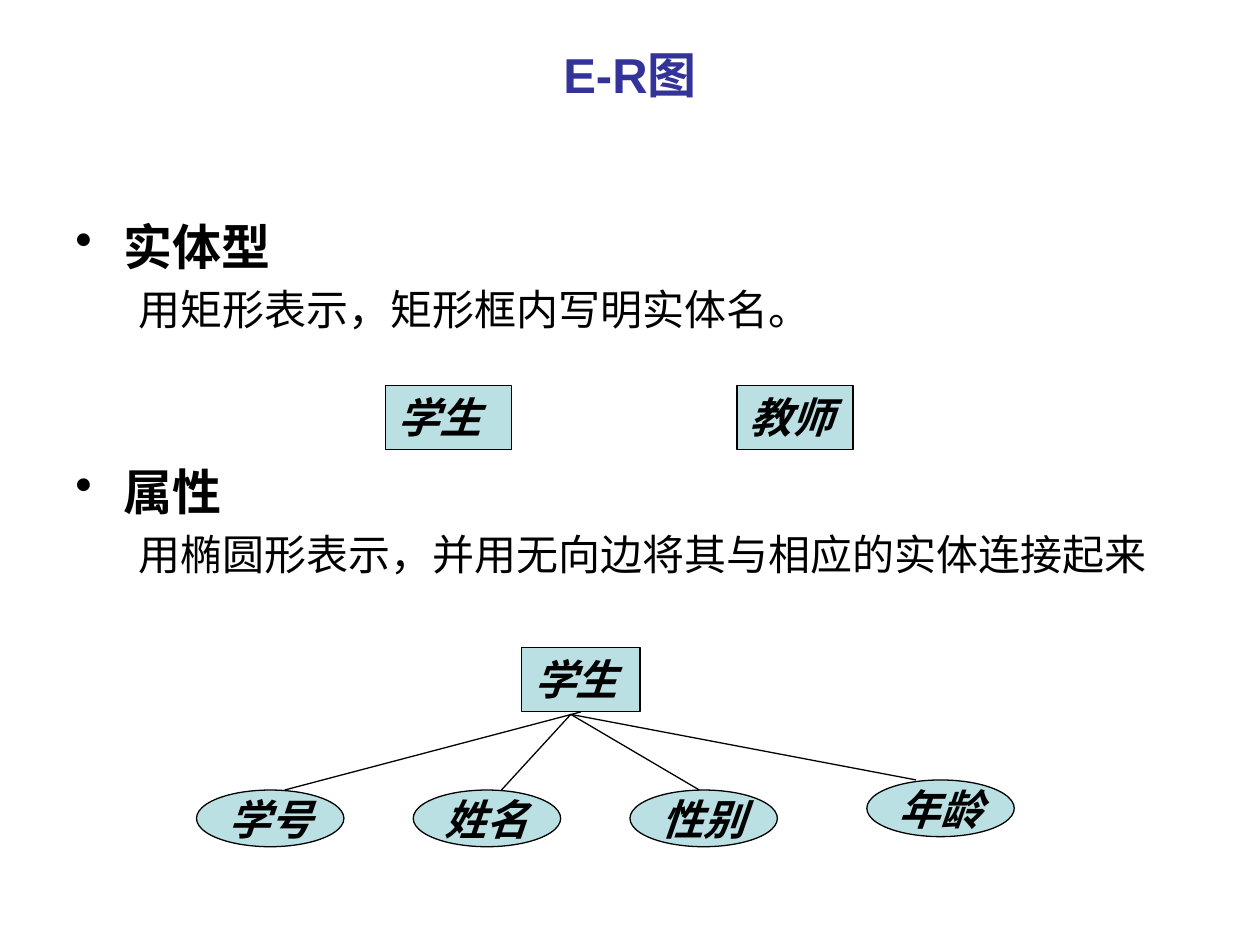
from lxml import etree
from pptx import Presentation
from pptx.dml.color import RGBColor
from pptx.enum.shapes import MSO_CONNECTOR, MSO_SHAPE
from pptx.enum.text import MSO_ANCHOR, MSO_AUTO_SIZE, PP_ALIGN
from pptx.oxml.ns import qn
from pptx.util import Inches, Pt

RECTANGLE, ELLIPSE = MSO_SHAPE.RECTANGLE, MSO_SHAPE.OVAL
STRAIGHT = MSO_CONNECTOR.STRAIGHT
CENTER, LEFT = PP_ALIGN.CENTER, PP_ALIGN.LEFT
TOP, MIDDLE = MSO_ANCHOR.TOP, MSO_ANCHOR.MIDDLE
GROW = MSO_AUTO_SIZE.SHAPE_TO_FIT_TEXT
BOTTOM_SIDE = 2

FONT = "Arial"
COLORS = {"title": "333399", "text": "000000", "fill": "BBE0E3", "line": "000000"}

TITLE = "E-R图"
# top, heading, explanation
SECTIONS = [
    (1.67, "实体型", "用矩形表示，矩形框内写明实体名。"),
    (3.61, "属性", "用椭圆形表示，并用无向边将其与相应的实体连接起来"),
]
# name, left, top, width
SAMPLE_ENTITIES = [("学生", 3.06, 3.06, 1), ("教师", 5.85, 3.06, 0.92)]
OWNER = ("学生", 4.14, 5.14, 0.94)
ENTITY_HEIGHT = 0.51
ATTRIBUTE_SIZE = (1.17, 0.45)
# name, left, top, x where its edge arrives
ATTRIBUTES = [
    ("学号", 1.56, 6.27, 2.26),
    ("姓名", 3.28, 6.27, 3.98),
    ("性别", 5, 6.27, 5.55),
    ("年龄", 6.88, 6.19, 7.27),
]
EDGE_START = (4.53, 5.67)


def color(name):
    return RGBColor.from_string(COLORS[name])


def style(paragraph, size, bold=False, italic=False, color_name="text"):
    for span in paragraph.runs:
        font = span.font
        font.name, font.size = FONT, Pt(size)
        font.bold, font.italic = bold, italic
        font.color.rgb = color(color_name)


def indent(paragraph, margin, hanging, bullet=None):
    properties = paragraph._p.get_or_add_pPr()
    properties.set("marL", str(Inches(margin)))
    properties.set("indent", str(-Inches(hanging)))
    if bullet:
        etree.SubElement(properties, qn("a:buChar")).set("char", bullet)
    else:
        etree.SubElement(properties, qn("a:buNone"))


def add_text_box(slide, left, top, width, height):
    box = slide.shapes.add_textbox(*map(Inches, (left, top, width, height)))
    box.text_frame.word_wrap = True
    return box.text_frame


def add_section(slide, top, heading, explanation):
    frame = add_text_box(slide, 0.5, top, 9, 1.1)
    frame.text = heading
    first = frame.paragraphs[0]
    indent(first, 0.38, 0.38, "•")
    style(first, 28, bold=True)
    second = frame.add_paragraph()
    second.text = explanation
    second.space_before = Pt(4.8)
    indent(second, 0.81, 0.31)
    style(second, 24)


def add_node(shapes, kind, name, left, top, width, height):
    node = shapes.add_shape(kind, *map(Inches, (left, top, width, height)))
    node.shadow.inherit = False
    node.fill.solid()
    node.fill.fore_color.rgb = color("fill")
    node.line.color.rgb = color("line")
    node.line.width = Pt(0.75)
    is_entity = kind == RECTANGLE
    frame = node.text_frame
    frame.text = name
    frame.word_wrap = is_entity
    frame.vertical_anchor = TOP if is_entity else MIDDLE
    if is_entity:
        frame.auto_size = GROW
    paragraph = frame.paragraphs[0]
    paragraph.alignment = LEFT if is_entity else CENTER
    style(paragraph, 24, bold=True, italic=True)
    return node


def add_edge(shapes, start, end):
    edge = shapes.add_connector(STRAIGHT, *map(Inches, start + end))
    edge.line.color.rgb = color("line")
    edge.line.width = Pt(0.75)
    etree.SubElement(edge._element.spPr, qn("a:effectLst"))
    return edge


def main():
    deck = Presentation()
    deck.slide_width, deck.slide_height = Inches(10), Inches(7.5)
    slide = deck.slides.add_slide(deck.slide_layouts[6])

    title = add_text_box(slide, 0.5, 0.3, 9, 1.25)
    title.text = TITLE
    title.paragraphs[0].alignment = CENTER
    style(title.paragraphs[0], 28, bold=True, color_name="title")

    for section in SECTIONS:
        add_section(slide, *section)
    for entity in SAMPLE_ENTITIES:
        add_node(slide.shapes, RECTANGLE, *entity, ENTITY_HEIGHT)

    diagram = slide.shapes.add_group_shape().shapes
    owner = add_node(diagram, RECTANGLE, *OWNER, ENTITY_HEIGHT)
    for name, left, top, _ in ATTRIBUTES:
        add_node(diagram, ELLIPSE, name, left, top, *ATTRIBUTE_SIZE)
    edges = [add_edge(diagram, EDGE_START, (end_x, top))
             for _, _, top, end_x in ATTRIBUTES]
    # Only the first edge leaves from the middle of the owner's bottom side.
    edges[0].begin_connect(owner, BOTTOM_SIDE)

    deck.save("out.pptx")


if __name__ == "__main__":
    main()
